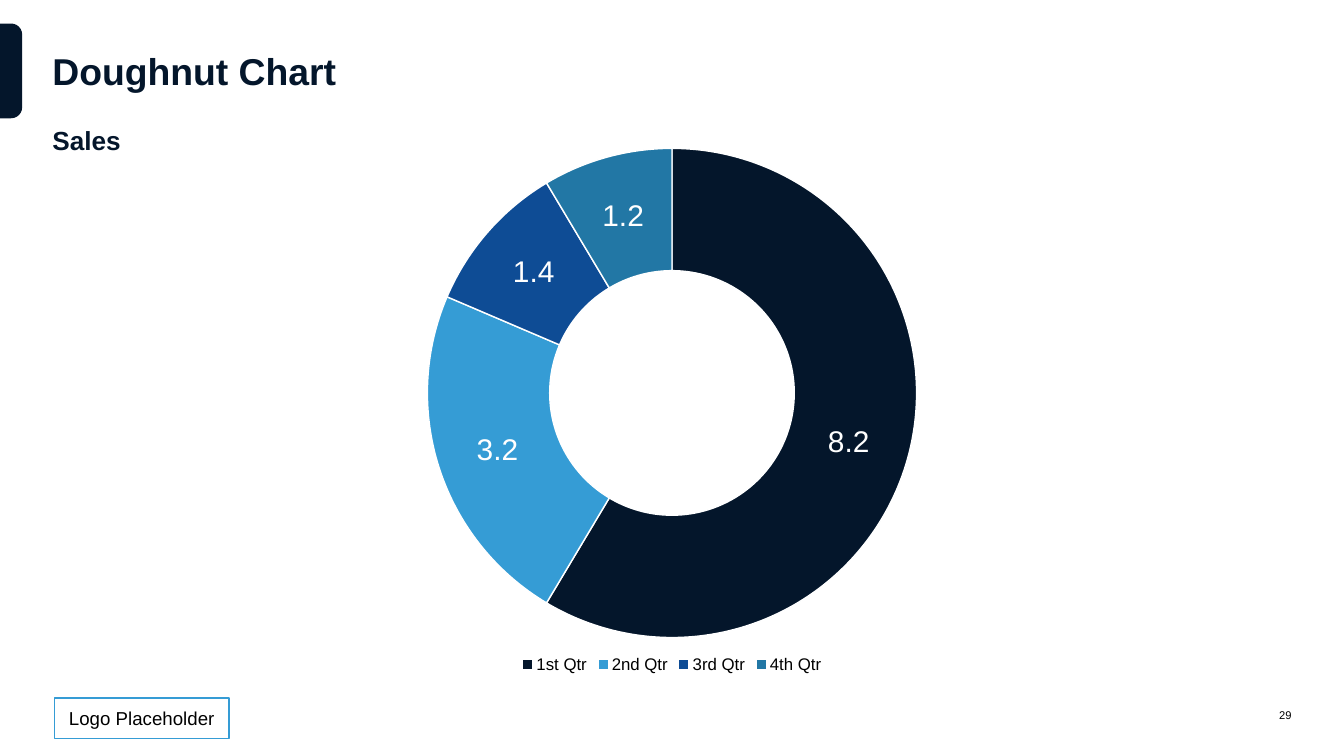
from dataclasses import dataclass
from typing import Any, NamedTuple

from pptx import Presentation
from pptx import util as u
from pptx.chart import data as cd
from pptx.dml import color
from pptx.enum import chart as ec
from pptx.enum import shapes, text

Pt = u.Pt
Align = text.PP_ALIGN
Anchor = text.MSO_ANCHOR


@dataclass(frozen=True)
class Theme:
    font: str = "Arial"
    navy: str = "04162B"
    sky: str = "359CD5"
    blue: str = "0E4C95"
    teal: str = "2277A5"
    black: str = "000000"
    white: str = "FFFFFF"
    title: float = 40
    label: float = 32
    subtitle: float = 28
    logo: float = 20
    legend: float = 18
    number: float = 12


class Box(NamedTuple):
    left: float
    top: float
    width: float
    height: float

    def lengths(self) -> list[int]:
        return [Pt(v) for v in self]


class Label(NamedTuple):
    words: str
    size: float
    ink: str
    bold: bool = False
    align: Any = Align.LEFT
    anchor: Any = Anchor.MIDDLE


class Quarter(NamedTuple):
    name: str
    sales: float
    fill: str


T = Theme()
MARGIN = 56.16
WIDTH = 1440 - 2 * MARGIN
QUARTERS = [
    Quarter("1st Qtr", 8.2, T.navy),
    Quarter("2nd Qtr", 3.2, T.sky),
    Quarter("3rd Qtr", 1.4, T.blue),
    Quarter("4th Qtr", 1.2, T.teal),
]
TEXTS = [
    (Box(1320.48, 748.08, 63.36, 36.72), Label("29", T.number, T.black, align=Align.RIGHT)),
    (Box(MARGIN, 133.2, WIDTH, 33.84),
     Label("Sales", T.subtitle, T.navy, True, anchor=Anchor.BOTTOM)),
]


def apply(obj: Any, values: dict[str, Any]) -> None:
    for name, value in values.items():
        setattr(obj, name, value)


def rgb(code: str) -> color.RGBColor:
    return color.RGBColor.from_string(code)


def set_font(font: Any, size: float, ink: str, bold: bool = False) -> None:
    apply(font, {"name": T.font, "size": Pt(size), "bold": bold})
    font.color.rgb = rgb(ink)


def paint(fmt: Any, fill: str, line: str | None = None, width: float = 1.5) -> None:
    fmt.fill.solid()
    fmt.fill.fore_color.rgb = rgb(fill)
    if line is None:
        fmt.line.fill.background()
    else:
        fmt.line.color.rgb = rgb(line)
        fmt.line.width = Pt(width)


def write(sp: Any, label: Label) -> None:
    tf = sp.text_frame
    apply(tf, {
        "word_wrap": True, "auto_size": text.MSO_AUTO_SIZE.NONE,
        "vertical_anchor": label.anchor, "margin_left": 0, "margin_right": 0,
        "margin_top": 0, "margin_bottom": 0,
    })
    p = tf.paragraphs[0]
    p.alignment = label.align
    r = p.add_run()
    r.text = label.words
    set_font(r.font, label.size, label.ink, label.bold)


def add_block(s: Any, kind: Any, box: Box, adj: list[float],
              fill: str, line: str | None = None) -> Any:
    sp = s.shapes.add_shape(kind, *box.lengths())
    sp.shadow.inherit = False
    for i, value in enumerate(adj):
        sp.adjustments[i] = value
    paint(sp, fill, line)
    return sp


def add_doughnut(s: Any, box: Box, quarters: list[Quarter]) -> None:
    data = cd.CategoryChartData()
    data.categories = [q.name for q in quarters]
    data.add_series("Series 1", [q.sales for q in quarters])
    chart = s.shapes.add_chart(ec.XL_CHART_TYPE.DOUGHNUT, *box.lengths(), data).chart
    apply(chart, {"has_title": False, "has_legend": True})
    set_font(chart.font, T.legend, T.black)
    apply(chart.legend, {"position": ec.XL_LEGEND_POSITION.BOTTOM, "include_in_layout": False})
    set_font(chart.legend.font, T.legend, T.black)
    plot = chart.plots[0]
    plot.vary_by_categories = True
    series = plot.series[0]
    for i, q in enumerate(quarters):
        paint(series.points[i].format, q.fill, T.white)
    labels = series.data_labels
    apply(labels, {"show_value": True, "show_percentage": False, "show_category_name": False})
    set_font(labels.font, T.label, T.white)


def main() -> None:
    prs = Presentation()
    apply(prs, {"slide_width": Pt(1440), "slide_height": Pt(810)})
    s = prs.slides.add_slide(prs.slide_layouts[5])

    tab = add_block(s, shapes.MSO_SHAPE.ROUND_2_SAME_RECTANGLE,
                    Box(-38.88, 64.08, 101.52, 23.76), [0.5, 0], T.navy)
    tab.rotation = 90
    logo = add_block(s, shapes.MSO_SHAPE.ROUNDED_RECTANGLE,
                     Box(58.32, 748.08, 187.2, 43.2), [0], T.white, T.sky)
    write(logo, Label("Logo Placeholder", T.logo, T.black, align=Align.CENTER))

    title = s.shapes.title
    frame = Box(MARGIN, 25.2, WIDTH, 100.08)
    apply(title, dict(zip(frame._fields, frame.lengths())))
    write(title, Label("Doughnut Chart", T.title, T.navy, True))

    add_doughnut(s, Box(MARGIN, 149.04, WIDTH, 576.72), QUARTERS)
    for box, label in TEXTS:
        write(s.shapes.add_textbox(*box.lengths()), label)

    prs.save("out.pptx")


if __name__ == "__main__":
    main()
